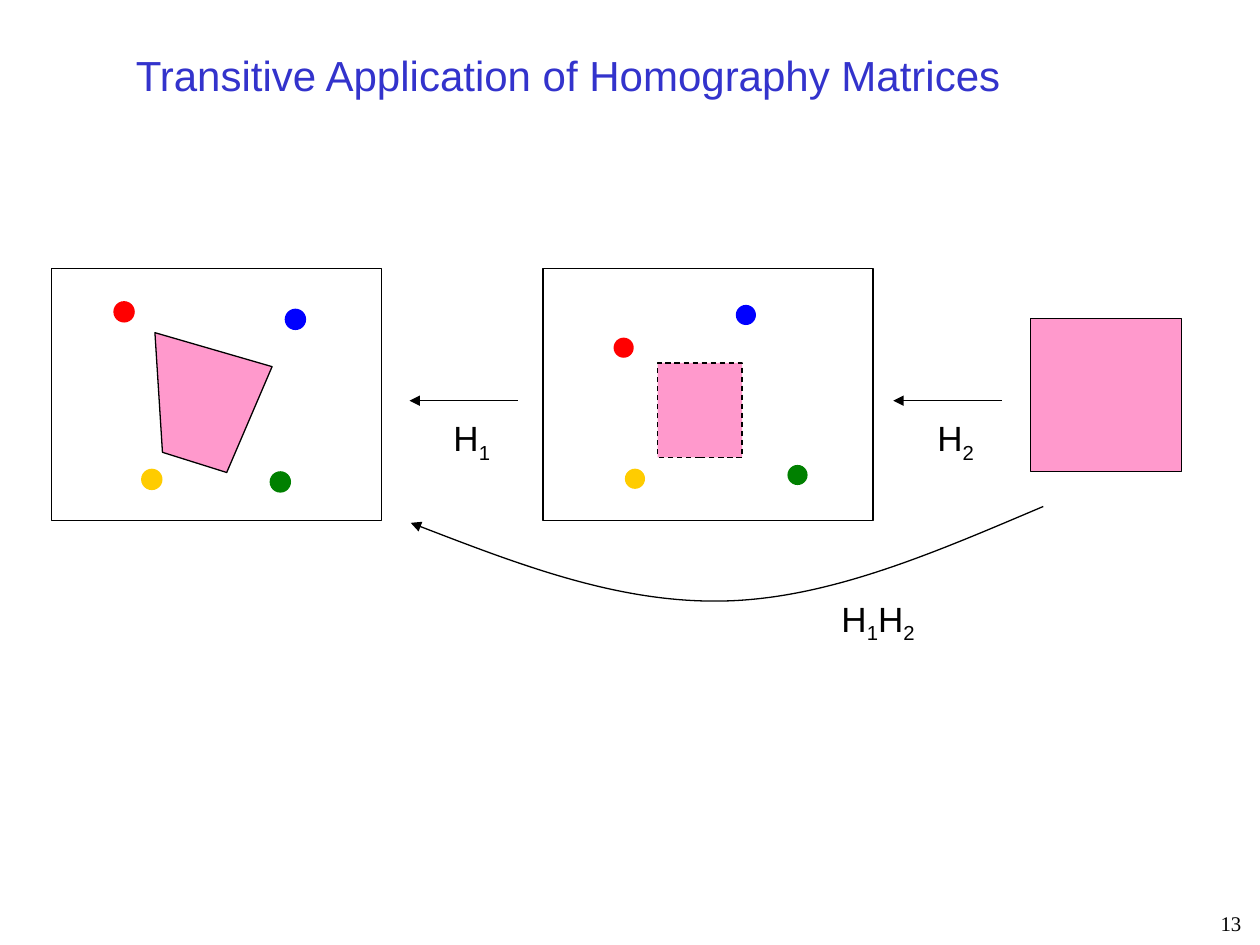
import pptx
import pptx.util
import pptx.dml.color
import pptx.enum.dml
import pptx.enum.shapes
import pptx.enum.text
import pptx.oxml.ns
import lxml.etree

Inches = pptx.util.Inches
Pt = pptx.util.Pt
RGBColor = pptx.dml.color.RGBColor
qn = pptx.oxml.ns.qn
KIND = pptx.enum.shapes.MSO_SHAPE
ALIGN = pptx.enum.text.PP_ALIGN

BLACK = RGBColor(0, 0, 0)
TITLE = RGBColor(0x33, 0x33, 0xCC)
PINK = RGBColor(0xFF, 0x99, 0xCC)
RED = RGBColor(0xFF, 0, 0)
BLUE = RGBColor(0, 0, 0xFF)
GREEN = RGBColor(0, 0x80, 0)
GOLD = RGBColor(0xFF, 0xCC, 0)


def paint(shape, fill=None, line=BLACK):
    """Give a shape its fill and thin outline; None means leave it bare."""
    shape.shadow.inherit = False
    if fill is None:
        shape.fill.background()
    else:
        shape.fill.solid()
        shape.fill.fore_color.rgb = fill
    if line is None:
        shape.line.fill.background()
    else:
        shape.line.color.rgb = line
        shape.line.width = Pt(0.75)


def add_head(shape):
    """Put an arrowhead at the end of a line that is already coloured."""
    line = shape.element.spPr.find(qn("a:ln"))
    lxml.etree.SubElement(line, qn("a:tailEnd"), type="triangle")


deck = pptx.Presentation()
deck.slide_width = Inches(10)
deck.slide_height = Inches(7.5)
slide = deck.slides.add_slide(deck.slide_layouts[6])
shapes = slide.shapes

# Title and page number
for text, box, size, font, color, align in [
    ("13", (7.62, 7.2, 2.33, 0.31), 11.9, "Times New Roman", BLACK, ALIGN.RIGHT),
    ("Transitive Application of Homography Matrices",
     (0.98, 0.32, 8.76, 0.55), 24, "Arial", TITLE, ALIGN.LEFT),
]:
    frame = shapes.add_textbox(*map(Inches, box)).text_frame
    frame.word_wrap = True
    frame.text = text
    par = frame.paragraphs[0]
    par.alignment = align
    run = par.runs[0]
    run.font.size = Pt(size)
    run.font.name = font
    run.font.color.rgb = color
    if align == ALIGN.RIGHT:
        par.line_spacing = 0.9
    else:
        frame.vertical_anchor = pptx.enum.text.MSO_ANCHOR.MIDDLE

# Two views, each with four marker dots
views = []
for left, size, dots in [
    (4.31, 0.16, [(4.87, 2.68, RED), (5.84, 2.42, BLUE),
                  (6.25, 3.69, GREEN), (4.96, 3.72, GOLD)]),
    (0.41, 0.17, [(0.9, 2.39, RED), (2.26, 2.45, BLUE),
                  (2.14, 3.74, GREEN), (1.12, 3.72, GOLD)]),
]:
    view = shapes.add_group_shape().shapes
    paint(view.add_shape(KIND.RECTANGLE, Inches(left), Inches(2.13),
                         Inches(2.62), Inches(2)))
    for x, y, color in dots:
        dot = view.add_shape(KIND.OVAL, Inches(x), Inches(y),
                             Inches(size), Inches(size))
        paint(dot, color, None)
    views.append(view)
middle, warped = views

# The pink patch: dashed in the middle, skewed on the left, square on the right
patch = middle.add_shape(KIND.RECTANGLE, Inches(5.22), Inches(2.88),
                         Inches(0.67), Inches(0.75))
paint(patch, PINK)
patch.line.dash_style = pptx.enum.dml.MSO_LINE.DASH

pen = warped.build_freeform(Inches(1.23), Inches(2.64))
pen.add_line_segments([(Inches(x), Inches(y)) for x, y in
                       [(2.16, 2.91), (1.8, 3.75), (1.29, 3.59)]], close=True)
paint(pen.convert_to_shape(), PINK)

square = shapes.add_shape(KIND.RECTANGLE, Inches(8.18), Inches(2.53),
                          Inches(1.2), Inches(1.21))
paint(square, PINK)

# Straight arrows between the views
for start in (4.11, 7.95):
    arrow = shapes.add_connector(
        pptx.enum.shapes.MSO_CONNECTOR.STRAIGHT,
        Inches(start), Inches(3.18), Inches(start - 0.86), Inches(3.18))
    arrow.line.color.rgb = BLACK
    arrow.line.width = Pt(0.75)
    add_head(arrow)
    lxml.etree.SubElement(arrow.element.spPr, qn("a:effectLst"))

# Curved arrow: every three points of the outline become one Bezier segment
pen = shapes.build_freeform(Inches(8.28), Inches(4.02))
pen.add_line_segments([(Inches(x), Inches(y)) for x, y in
                       [(7.43, 4.38), (6.59, 4.75), (5.75, 4.77),
                        (4.92, 4.79), (4.09, 4.47), (3.26, 4.15)]], close=False)
curve = pen.convert_to_shape()
paint(curve)
add_head(curve)
steps = list(curve.element.iter(qn("a:lnTo")))
outline = steps[0].getparent()
for first in range(0, len(steps), 3):
    bend = lxml.etree.SubElement(outline, qn("a:cubicBezTo"))
    for step in steps[first:first + 3]:
        bend.append(step[0])
        outline.remove(step)

# Matrix labels, with the digits as subscripts
for text, left, top, width in [("H1", 3.5, 3.26, 0.49), ("H2", 7.34, 3.26, 0.49),
                               ("H1H2", 6.58, 4.69, 0.78)]:
    frame = shapes.add_textbox(Inches(left), Inches(top),
                               Inches(width), Inches(0.48)).text_frame
    frame.word_wrap = False
    frame.auto_size = pptx.enum.text.MSO_AUTO_SIZE.SHAPE_TO_FIT_TEXT
    for sign in text:
        run = frame.paragraphs[0].add_run()
        run.text = sign
        run.font.size = Pt(20)
        run.font.name = "Arial"
        run.font.color.rgb = BLACK
        if sign.isdigit():
            run.font._element.set("baseline", "-25000")

deck.save("out.pptx")
